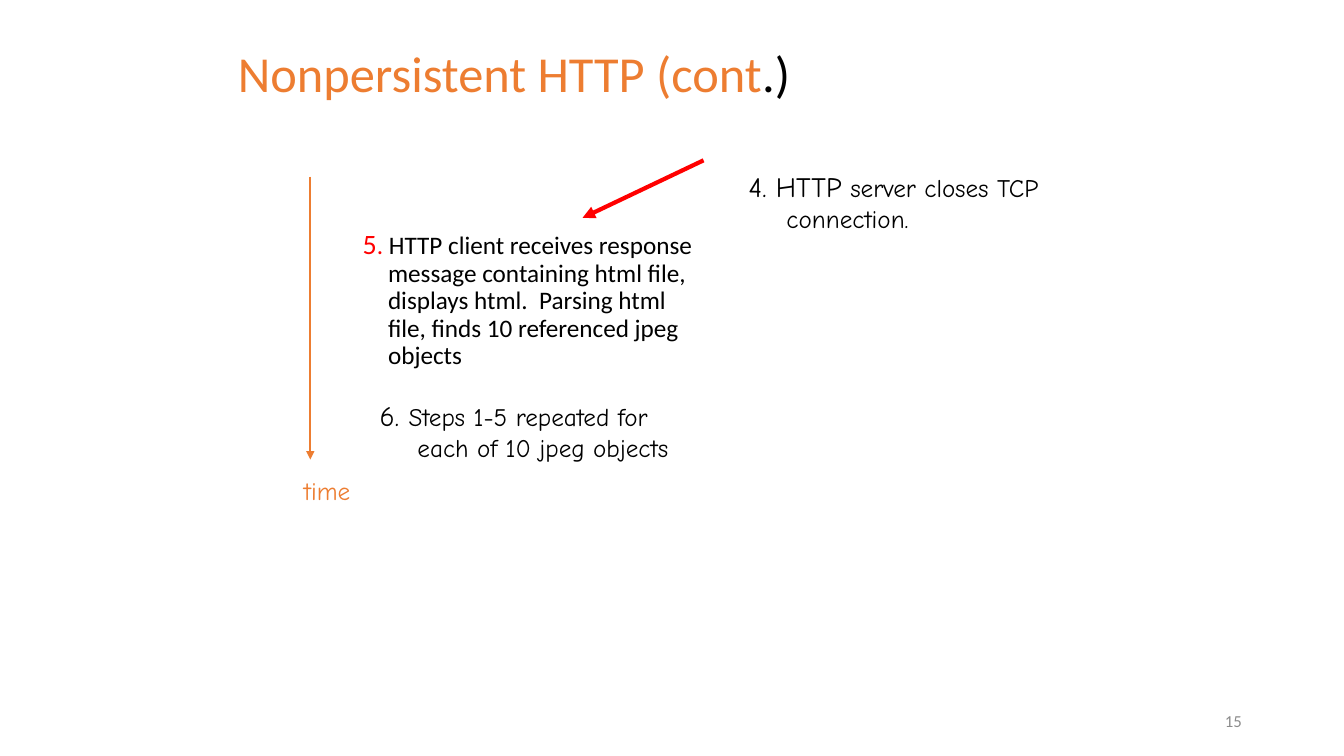
from lxml import etree
from pptx import Presentation
from pptx.dml.color import RGBColor
from pptx.enum.shapes import MSO_CONNECTOR
from pptx.enum.text import MSO_ANCHOR, MSO_AUTO_SIZE, PP_ALIGN
from pptx.oxml.ns import qn
from pptx.util import Cm, Pt

ORANGE = RGBColor(0xED, 0x7D, 0x31)
RED = RGBColor(0xFF, 0x00, 0x00)
BLACK = RGBColor(0x00, 0x00, 0x00)
GREY = RGBColor(0x8C, 0x8C, 0x8C)
PLAIN_FONT = "Calibri"
HAND_FONT = "Comic Neue"
LEFT, CENTER, RIGHT = PP_ALIGN.LEFT, PP_ALIGN.CENTER, PP_ALIGN.RIGHT
TOP, MIDDLE = MSO_ANCHOR.TOP, MSO_ANCHOR.MIDDLE
NO_AUTOFIT = MSO_AUTO_SIZE.NONE
STRAIGHT = MSO_CONNECTOR.STRAIGHT
TITLE_ONLY_LAYOUT = 5


def write_text(shape, runs, font=PLAIN_FONT, align=LEFT, anchor=TOP,
               hanging=0, line_spacing=None, space_before=0):
    """Fill a shape with one paragraph of (text, size, colour) runs."""
    frame = shape.text_frame
    frame.word_wrap = True
    frame.auto_size = NO_AUTOFIT
    frame.vertical_anchor = anchor
    paragraph = frame.paragraphs[0]
    paragraph.alignment = align
    paragraph.line_spacing = line_spacing
    paragraph.space_before = Pt(space_before)
    if hanging:
        properties = paragraph._p.get_or_add_pPr()
        properties.set("marL", str(Cm(hanging)))
        properties.set("indent", str(-Cm(hanging)))
    for text, size, colour in runs:
        run = paragraph.add_run()
        run.text = text
        run.font.name = font
        run.font.size = Pt(size)
        run.font.color.rgb = colour


def add_text(slide, box, runs, **text_format):
    shape = slide.shapes.add_textbox(*map(Cm, box))
    write_text(shape, runs, **text_format)


def add_arrow(slide, start, end, colour, width):
    arrow = slide.shapes.add_connector(STRAIGHT, *map(Cm, start + end))
    arrow.line.color.rgb = colour
    arrow.line.width = Pt(width)
    line = arrow.line._get_or_add_ln()
    etree.SubElement(line, qn("a:tailEnd"), type="triangle")
    etree.SubElement(arrow._element.spPr, qn("a:effectLst"))


def add_title(slide, box):
    title = slide.shapes.title
    title.left, title.top, title.width, title.height = map(Cm, box)
    write_text(title, [("Nonpersistent HTTP (cont", 36, ORANGE), (".)", 36, BLACK)],
               anchor=MIDDLE, line_spacing=0.9)


def add_timeline(slide, box):
    """Place a downward time arrow with its label centred near the foot."""
    left, top, width, height = box
    label_height = 1.02
    arrow_x = left + 0.63
    add_arrow(slide, (arrow_x, top), (arrow_x, top + height - label_height - 0.28),
              ORANGE, 1.5)
    add_text(slide, (left, top + height - label_height, width, label_height),
             [("time", 18, ORANGE)], font=HAND_FONT, align=CENTER)


def add_client_steps(slide, box):
    left, top, width, height = box
    add_text(slide, (left, top, width, 4.27),
             [("5", 20, RED), (".", 18, RED),
              (" HTTP client receives response message containing html file, "
               "displays html.  Parsing html file, finds 10 referenced jpeg  objects",
               18, BLACK)],
             hanging=0.64, line_spacing=0.9, space_before=10)
    repeat_height = 1.85
    add_text(slide, (left + 0.43, top + height - repeat_height, width - 0.46, repeat_height),
             [("6. ", 20, BLACK),
              ("Steps 1-5 repeated for each of 10 jpeg objects", 18, BLACK)],
             font=HAND_FONT, hanging=0.95)


def add_server_step(slide, box):
    """Place step 4 with the red response arrow pointing back to the client."""
    left, top = box[:2]
    add_text(slide, box,
             [("4. HTTP", 20, BLACK), (" server closes TCP connection.", 18, BLACK)],
             font=HAND_FONT, hanging=0.95)
    add_arrow(slide, (left - 0.89, top - 0.1), (left - 3.94, top + 1.35), RED, 3)


def add_slide_number(slide, box):
    add_text(slide, box, [("15", 12, GREY)], align=RIGHT, anchor=MIDDLE)


def main():
    presentation = Presentation()
    presentation.slide_width = Cm(33.87)
    presentation.slide_height = Cm(19.05)
    slide = presentation.slides.add_slide(presentation.slide_layouts[TITLE_ONLY_LAYOUT])
    add_slide_number(slide, (23.93, 17.65, 7.62, 1.02))
    add_title(slide, (5.74, 0.71, 21.59, 2.41))
    add_client_steps(slide, (8.89, 5.69, 8.97, 6.07))
    add_server_step(slide, (18.62, 4.14, 10.16, 2.03))
    add_timeline(slide, (7.19, 4.45, 2.11, 8.43))
    presentation.save("out.pptx")


if __name__ == "__main__":
    main()
